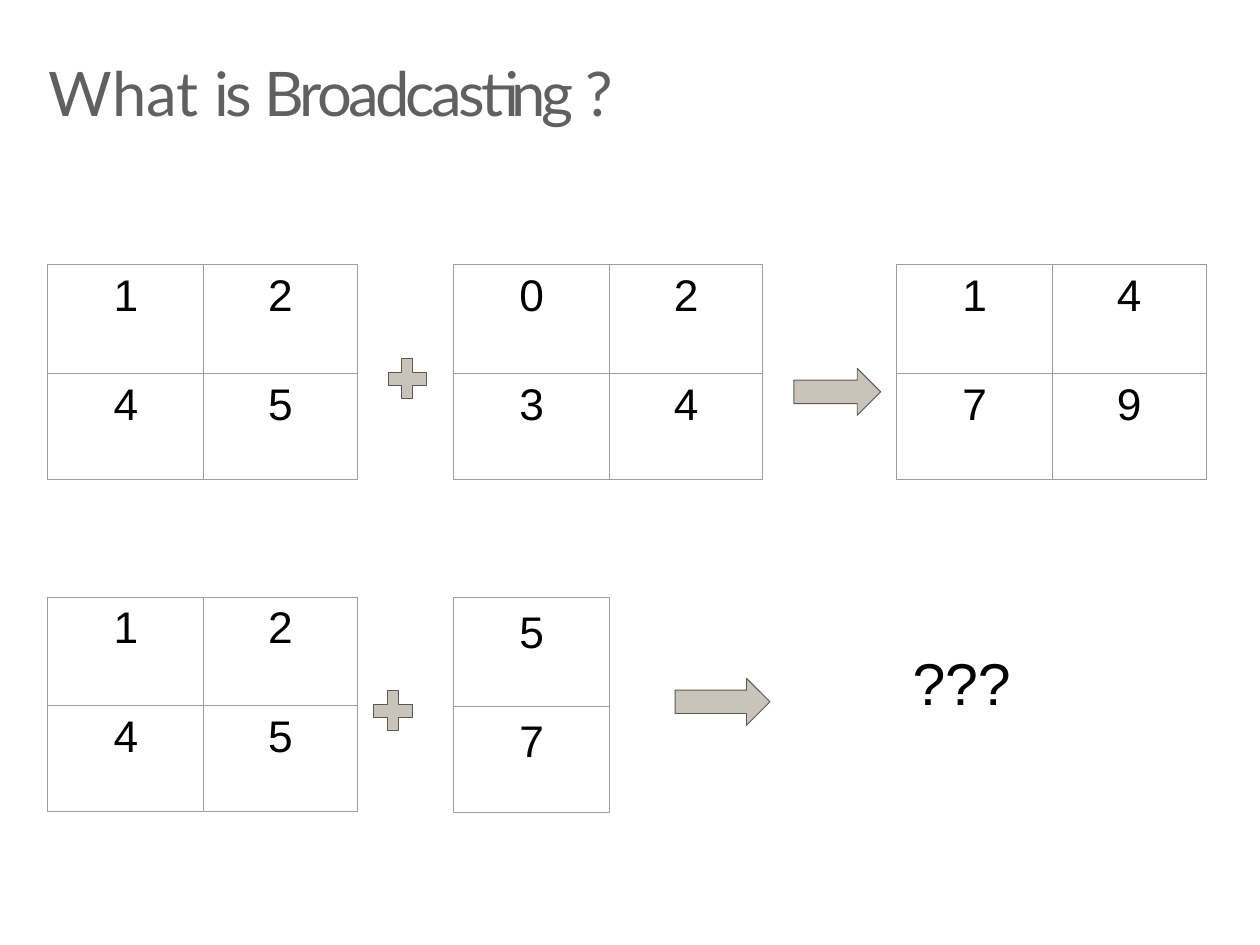
from dataclasses import dataclass

from lxml import etree
from pptx import Presentation
from pptx import util as u
from pptx.dml.color import RGBColor
from pptx.enum import shapes, text
from pptx.oxml import ns

# Content: (text, letter spacing in points)
TITLE = [("What ", 0), ("is ", -3.1), ("Broadcasting ", -3), ("?", -11.6)]
# (grid column, grid row, values)
MATRICES = [
    (0, 0, [[1, 2], [4, 5]]),
    (1, 0, [[0, 2], [3, 4]]),
    (2, 0, [[1, 4], [7, 9]]),
    (0, 1, [[1, 2], [4, 5]]),
]
VECTOR = (1, 1, [5, 7])
UNKNOWN = "???"

# Grid, in inches
SLIDE = (14.22, 10.67)
COLUMNS = (0.54, 5.12, 10.12)
ROWS = (2.99, 6.74)
CELL_WIDTHS = (1.76, 1.73)
CELL_HEIGHTS = (1.23, 1.19)
CELL_INSET = 0.07

# Operators: (left, offset from the top of its row, width, height)
PLUS, ARROW = shapes.MSO_SHAPE.CROSS, shapes.MSO_SHAPE.RIGHT_ARROW
OPERATORS = [
    (PLUS, 0, (4.38, 1.06, 0.43, 0.45)),
    (ARROW, 0, (8.96, 1.17, 0.98, 0.53)),
    (PLUS, 1, (4.22, 1.06, 0.43, 0.45)),
    (ARROW, 1, (7.62, 0.92, 1.07, 0.53)),
]
ADJUSTMENTS = {PLUS: (0.35,), ARROW: (0.5, 0.5)}


@dataclass(frozen=True)
class Theme:
    heading_font: str = "Lato"
    body_font: str = "Arial"
    heading: str = "606060"
    ink: str = "000000"
    grid: str = "9E9E9E"
    operator: str = "C9C3BA"
    outline: str = "5B5854"
    title_size: int = 50
    number_size: int = 36
    unknown_size: int = 48
    line: float = 0.75


THEME = Theme()


def inches(*lengths):
    return [u.Inches(length) for length in lengths]


def write(frame, runs, size, font=THEME.body_font, color=THEME.ink,
          align=text.PP_ALIGN.LEFT, before=1, indent=0, inset=0.01):
    """Fill a text frame with (text, letter spacing) runs."""
    frame.word_wrap = True
    frame.vertical_anchor = text.MSO_ANCHOR.TOP
    frame.margin_left = frame.margin_right = frame.margin_bottom = 0
    frame.margin_top = u.Inches(inset)
    paragraph = frame.paragraphs[0]
    paragraph.alignment = align
    paragraph.space_before = u.Pt(before)
    properties = paragraph._p.get_or_add_pPr()
    properties.set("marL", str(u.Inches(indent)))
    properties.set("indent", "0")
    for words, spacing in runs:
        run = paragraph.add_run()
        run.text = words
        run.font.size = u.Pt(size)
        run.font.name = font
        run.font.bold = False
        run.font.color.rgb = RGBColor.from_string(color)
        run._r.get_or_add_rPr().set("spc", str(round(spacing * 100)))


def write_number(frame, number):
    write(frame, [(str(number), -0.5)], THEME.number_size,
          align=text.PP_ALIGN.CENTER, before=5.3, inset=CELL_INSET)


def outline_cell(cell):
    properties = cell._tc.get_or_add_tcPr()
    for position, side in enumerate(("lnL", "lnR", "lnT", "lnB")):
        border = etree.Element(ns.qn(f"a:{side}"), w=str(u.Pt(THEME.line)))
        fill = etree.SubElement(border, ns.qn("a:solidFill"))
        etree.SubElement(fill, ns.qn("a:srgbClr"), val=THEME.grid)
        properties.insert(position, border)


def add_matrix(slide, column, row, values):
    box = inches(COLUMNS[column], ROWS[row], sum(CELL_WIDTHS), sum(CELL_HEIGHTS))
    table = slide.shapes.add_table(len(values), len(values[0]), *box).table
    table.first_row = table.horz_banding = False
    for table_column, width in zip(table.columns, CELL_WIDTHS):
        table_column.width = u.Inches(width)
    for table_row, height, numbers in zip(table.rows, CELL_HEIGHTS, values):
        table_row.height = u.Inches(height)
        for cell, number in zip(table_row.cells, numbers):
            cell.fill.background()
            outline_cell(cell)
            cell.margin_left = cell.margin_right = cell.margin_bottom = 0
            cell.margin_top = u.Inches(CELL_INSET)
            write_number(cell.text_frame, number)


def add_shape(slide, kind, box, line, fill=None):
    shape = slide.shapes.add_shape(kind, *inches(*box))
    shape.shadow.inherit = False
    shape.line.color.rgb = RGBColor.from_string(line)
    shape.line.width = u.Pt(THEME.line)
    if fill:
        shape.fill.solid()
        shape.fill.fore_color.rgb = RGBColor.from_string(fill)
    else:
        shape.fill.background()
    return shape


def add_vector(slide, column, row, values):
    top = ROWS[row] + 0.01
    for number, height in zip(values, CELL_HEIGHTS):
        box = (COLUMNS[column], top, CELL_WIDTHS[0], height)
        cell = add_shape(slide, shapes.MSO_SHAPE.RECTANGLE, box, THEME.grid)
        write_number(cell.text_frame, number)
        top += height


def add_operator(slide, kind, row, place):
    left, offset, width, height = place
    box = (left, ROWS[row] + offset, width, height)
    operator = add_shape(slide, kind, box, THEME.outline, THEME.operator)
    for index, share in enumerate(ADJUSTMENTS[kind]):
        operator.adjustments[index] = share


def main():
    deck = Presentation()
    deck.slide_width, deck.slide_height = inches(*SLIDE)
    slide = deck.slides.add_slide(deck.slide_layouts[5])

    title = slide.shapes.title
    title.left, title.top, title.width, title.height = inches(0.52, 0.61, 11.78, 0.9)
    write(title.text_frame, TITLE, THEME.title_size, font=THEME.heading_font,
          color=THEME.heading, indent=0.03)

    for matrix in MATRICES:
        add_matrix(slide, *matrix)
    add_vector(slide, *VECTOR)
    for operator in OPERATORS:
        add_operator(slide, *operator)

    unknown = slide.shapes.add_textbox(*inches(10.29, ROWS[1] + 0.55, 1.14, 0.83))
    write(unknown.text_frame, [(UNKNOWN, -0.2)], THEME.unknown_size, indent=0.01)

    deck.save("out.pptx")


if __name__ == "__main__":
    main()
